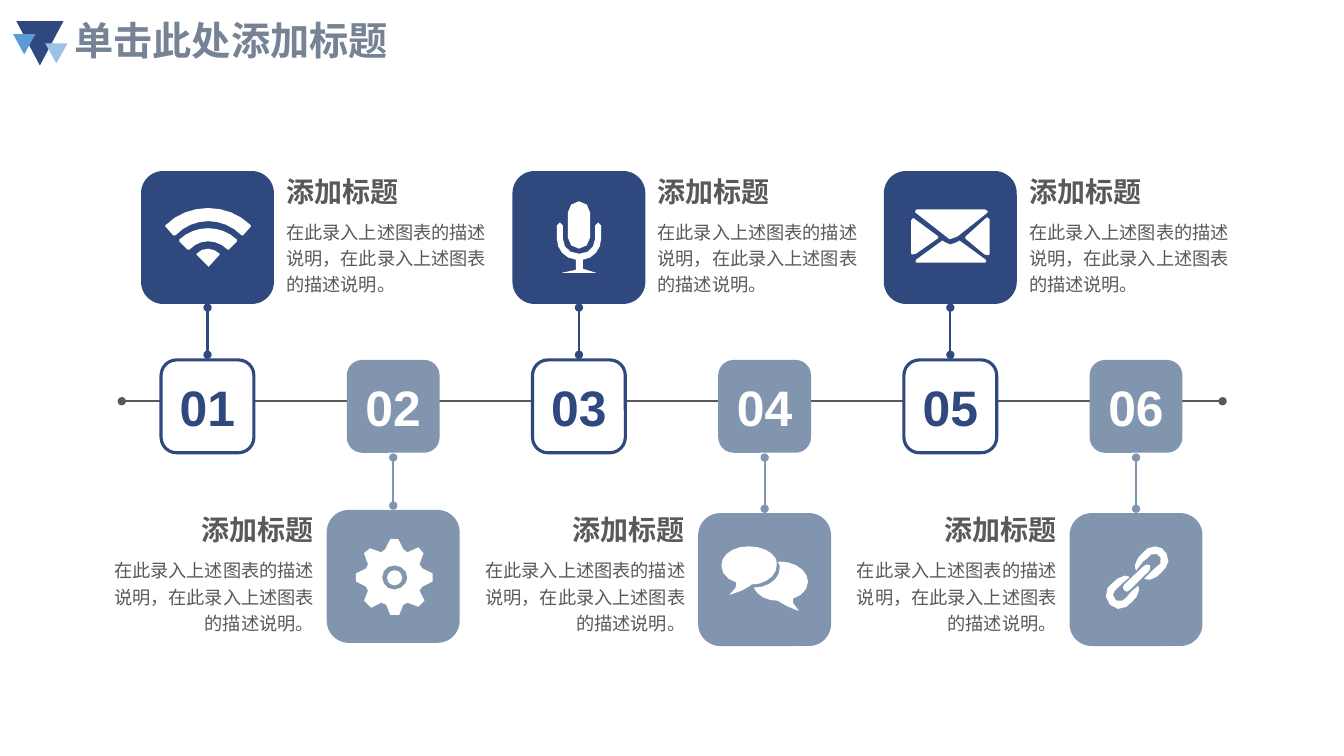
import math

import pptx
import pptx.dml.color
import pptx.enum.shapes
import pptx.enum.text
import pptx.oxml.ns
import pptx.util
from lxml import etree

Cm = pptx.util.Cm
Pt = pptx.util.Pt
qn = pptx.oxml.ns.qn
SHAPES = pptx.enum.shapes.MSO_SHAPE
ALIGN = pptx.enum.text.PP_ALIGN
ANCHOR = pptx.enum.text.MSO_ANCHOR
AUTO_SIZE = pptx.enum.text.MSO_AUTO_SIZE

NAVY, SLATE, GREY, WHITE = "2F497E", "8295AF", "595959", "FFFFFF"
CHINESE, LATIN = "Noto Sans CJK SC", "Arial"

TITLE = "单击此处添加标题"
HEADING = "添加标题"
DESCRIPTION = "在此录入上述图表的描述说明，在此录入上述图表的描述说明。"

# left, top, width, height in cm and fill
TRIANGLES = [
    (0.41, 0.53, 1.19, 1.12, NAVY),
    (1.14, 1.09, 0.56, 0.51, "9BC1E4"),
    (0.33, 0.86, 0.56, 0.51, "5B9BD4"),
]

# Outlines in hundredths of an inch from the tile corner: M move, L line, C curve
WIFI = (
    "M 78 82 C 71 76 62 75 55 82 L 55 83 L 67 95 L 78 83 "
    "M 95 68 C 79 53 54 53 38 68 L 38 70 L 46 78 L 48 78 "
    "C 58 67 75 67 86 78 L 87 78 L 95 70 "
    "M 109 54 C 86 31 47 31 24 54 L 24 55 L 32 64 L 34 64 C 52 45 81 45 100 64 "
    "L 101 64 L 109 55"
)
MICROPHONE = (
    "M 88 67 L 88 54 C 88 50 82 50 82 54 L 82 67 C 82 76 75 82 67 82 L 66 82 "
    "C 57 82 50 76 50 67 L 50 54 C 50 50 44 50 44 54 L 44 67 C 44 78 52 87 63 88 "
    "L 63 98 L 49 101 L 83 101 L 70 97 L 70 88 C 80 87 88 78 88 67 "
    "M 66 77 C 72 77 77 72 77 66 L 77 41 C 77 35 72 30 66 30 "
    "C 60 30 55 35 55 41 L 55 66 C 55 72 60 77 66 77"
)
ENVELOPE = (
    "M 63 66 C 63 66 66 71 73 65 L 102 42 C 102 42 106 38 100 38 L 34 38 "
    "C 34 38 29 38 31 41 "
    "M 105 81 L 105 48 C 104 44 101 47 101 47 L 81 65 C 79 67 82 68 82 68 L 100 83 "
    "C 105 87 105 81 105 81 "
    "M 101 88 L 75 69 C 75 69 71 72 66 73 C 62 72 58 69 58 69 L 32 88 "
    "C 29 90 33 91 33 91 L 100 91 C 100 91 104 90 101 88 "
    "M 27 81 L 27 49 C 28 44 31 48 31 48 L 54 65 C 56 66 52 68 52 68 L 32 82 "
    "C 27 86 27 81 27 81"
)
GEAR = (
    "M 95 76 L 105 71 L 105 63 L 95 58 L 92 54 L 96 43 L 91 37 L 80 42 L 76 39 L 71 29 "
    "L 63 29 L 58 39 L 54 42 L 43 38 L 37 43 L 41 54 L 39 58 L 29 63 L 29 71 L 39 76 "
    "L 41 80 L 37 90 L 44 97 L 54 92 L 59 94 L 63 104 L 72 104 L 76 94 L 80 92 L 91 96 "
    "L 97 90 L 92 80 M 67 79 C 60 79 55 73 55 67 C 55 60 60 55 67 55 "
    "C 74 55 80 60 80 67 C 80 73 74 79 67 79"
)
SPEECH = (
    "M 109 68 C 109 57 96 48 81 48 L 79 49 C 81 50 81 53 81 55 "
    "C 81 65 70 74 55 74 C 59 82 68 87 79 87 C 87 93 100 97 100 97 "
    "C 94 91 93 87 94 85 C 103 82 109 76 109 68 "
    "M 77 45 C 73 38 63 33 50 33 C 35 33 23 41 23 52 C 23 60 29 66 38 69 "
    "C 38 72 38 76 31 81 C 31 81 44 78 52 72 L 52 71 C 67 71 78 62 78 52 "
    "C 78 49 78 48 77 45"
)
CHAIN = (
    "M 74 65 L 78 61 L 82 57 L 90 50 C 93 44 87 38 81 41 L 77 45 L 73 48 L 66 57 "
    "C 65 55 65 54 65 51 C 66 46 69 43 72 40 C 75 36 79 33 85 33 C 92 33 98 39 98 48 "
    "C 97 53 94 56 91 59 C 88 62 85 65 80 66 C 78 66 76 66 74 65 "
    "M 76 51 C 79 50 81 52 80 55 C 80 57 77 60 75 61 L 64 72 "
    "C 62 74 60 77 57 78 C 55 78 53 76 53 74 C 53 72 54 71 55 70 L 73 53 L 76 51 "
    "M 59 63 L 59 64 L 52 70 L 47 75 C 46 76 43 78 43 81 "
    "C 43 86 48 89 52 87 L 56 84 L 61 78 L 68 72 L 69 76 C 69 82 65 84 62 88 "
    "C 58 91 55 96 48 95 C 42 94 37 89 36 83 C 35 75 39 72 43 69 C 46 66 49 63 55 62 "
    "L 59 63"
)

# number, icon, top of the icon tile in cm
STEPS = [
    ("01", WIFI, 4.31), ("02", GEAR, 12.85), ("03", MICROPHONE, 4.31),
    ("04", SPEECH, 12.93), ("05", ENVELOPE, 4.31), ("06", CHAIN, 12.93),
]
FIRST_CENTRE, PITCH, AXIS = 5.23, 4.68, 10.11
BADGE, TILE = 2.34, 3.35
HEADING_WIDTH, BODY_WIDTH = 3.35, 5.94
ICON_UNIT = Cm(2.54) / 100
CHORD = 8


def rgb(value):
    return pptx.dml.color.RGBColor.from_string(value)


def write(shape, text, frame_format, paragraph_format, font_format, color):
    frame = shape.text_frame
    paragraph = frame.paragraphs[0]
    run = paragraph.add_run()
    run.text = text
    run.font.color.rgb = rgb(color)
    for target, values in ((frame, frame_format), (paragraph, paragraph_format),
                           (run.font, font_format)):
        for name, value in values.items():
            setattr(target, name, value)
    etree.SubElement(run.font._element, qn("a:ea"), typeface=font_format["name"])


def add_text(slide, box, *text_arguments):
    write(slide.shapes.add_textbox(*map(Cm, box)), *text_arguments)


def paint(shape, fill, outline=None):
    shape.shadow.inherit = False
    shape.fill.solid()
    shape.fill.fore_color.rgb = rgb(fill)
    if outline:
        shape.line.color.rgb = rgb(outline)
        shape.line.width = Pt(2.25)
    else:
        shape.line.fill.background()
    return shape


def add_dotted_line(slide, ends, color):
    """Draw a straight line with a round dot at both ends."""
    line = slide.shapes.add_connector(
        pptx.enum.shapes.MSO_CONNECTOR.STRAIGHT, *map(Cm, ends))
    line.line.color.rgb = rgb(color)
    line.line.width = Pt(1.5)
    properties = line._element.spPr
    for end in ("a:headEnd", "a:tailEnd"):
        etree.SubElement(properties.find(qn("a:ln")), qn(end), type="oval")
    etree.SubElement(properties, qn("a:effectLst"))


def contours(icon):
    """Turn each contour into points, with chords in step with a curve's length."""
    for contour in icon.split("M")[1:]:
        points = []
        for segment in contour.replace("L", "C").split("C"):
            numbers = [int(number) for number in segment.split()]
            pairs = list(zip(numbers[::2], numbers[1::2]))
            if len(pairs) == 1:
                points += pairs
                continue
            corners = [points[-1]] + pairs
            length = sum(map(math.dist, corners, pairs))
            count = min(8, max(2, round(length / CHORD)))
            for t in (step / count for step in range(1, count + 1)):
                weights = ((1 - t) ** 3, 3 * t * (1 - t) ** 2, 3 * t * t * (1 - t), t ** 3)
                points.append(tuple(sum(w * corner[axis] for w, corner in zip(weights, corners))
                                    for axis in (0, 1)))
        yield points


def add_icon(slide, icon, left, top):
    builder = None
    for points in contours(icon):
        places = [(Cm(left) + x * ICON_UNIT, Cm(top) + y * ICON_UNIT) for x, y in points]
        if builder is None:
            builder = slide.shapes.build_freeform(*places[0])
        else:
            builder.move_to(*places[0])
        builder.add_line_segments(places[1:], close=True)
    paint(builder.convert_to_shape(), WHITE)


def add_step(slide, index, number, icon, tile_top):
    above = index % 2 == 0
    color = NAVY if above else SLATE
    centre = FIRST_CENTRE + index * PITCH
    tile_left = centre - TILE / 2

    badge = slide.shapes.add_shape(SHAPES.ROUNDED_RECTANGLE, *map(
        Cm, (centre - BADGE / 2, 9.07, BADGE, BADGE)))
    paint(badge, WHITE if above else SLATE, NAVY if above else None)
    write(badge, number, {"vertical_anchor": ANCHOR.MIDDLE}, {"alignment": ALIGN.CENTER},
          {"size": Pt(35.6), "bold": True, "name": LATIN}, NAVY if above else WHITE)

    ends = (7.75, 8.94) if above else (tile_top - 0.11, 11.53)
    add_dotted_line(slide, (centre, ends[0], centre, ends[1]), color)
    paint(slide.shapes.add_shape(SHAPES.ROUNDED_RECTANGLE, *map(
        Cm, (tile_left, tile_top, TILE, TILE))), color)
    add_icon(slide, icon, tile_left, tile_top)
    if icon is GEAR:
        paint(slide.shapes.add_shape(SHAPES.OVAL, *map(
            Cm, (tile_left + 1.52, tile_top + 1.52, 0.38, 0.38))), WHITE)

    heading_top = 4.27 if above else 12.8
    for text, width, top, height, wrap, spacing, size in (
            (HEADING, HEADING_WIDTH, heading_top, 1.12, False, 1.0, 20),
            (DESCRIPTION, BODY_WIDTH, heading_top + 1.07, 2.26, True, 1.2, 13)):
        left = tile_left + TILE + 0.06 if above else tile_left - 0.08 - width
        add_text(slide, (left, top, width, height), text,
                 {"word_wrap": wrap, "auto_size": AUTO_SIZE.SHAPE_TO_FIT_TEXT},
                 {"alignment": ALIGN.LEFT if above else ALIGN.RIGHT, "line_spacing": spacing},
                 {"size": Pt(size), "bold": text == HEADING, "name": CHINESE}, GREY)


def main():
    presentation = pptx.Presentation()
    presentation.slide_width, presentation.slide_height = Cm(33.87), Cm(19.05)
    slide = presentation.slides.add_slide(presentation.slide_layouts[6])
    add_text(slide, (1.63, 0.38, 29.21, 1.4), TITLE,
             {"word_wrap": True, "vertical_anchor": ANCHOR.MIDDLE}, {"line_spacing": 0.9},
             {"size": Pt(28), "bold": True, "name": CHINESE}, "768395")
    for *box, color in TRIANGLES:
        triangle = slide.shapes.add_shape(SHAPES.ISOSCELES_TRIANGLE, *map(Cm, box))
        paint(triangle, color).rotation = 180
    add_dotted_line(slide, (3.07, AXIS, 30.81, AXIS), GREY)
    for index, step in enumerate(STEPS):
        add_step(slide, index, *step)
    presentation.save("out.pptx")


if __name__ == "__main__":
    main()
